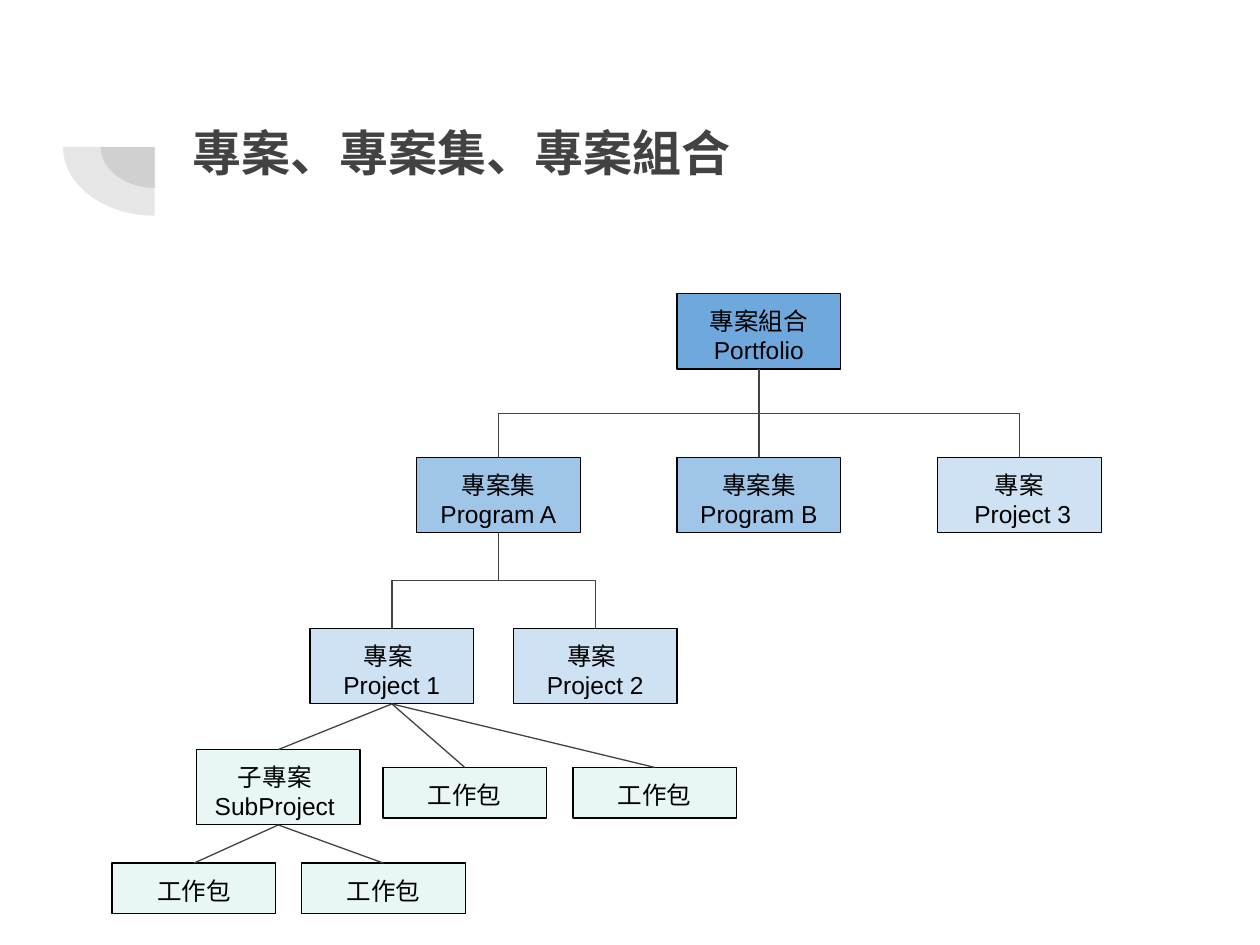
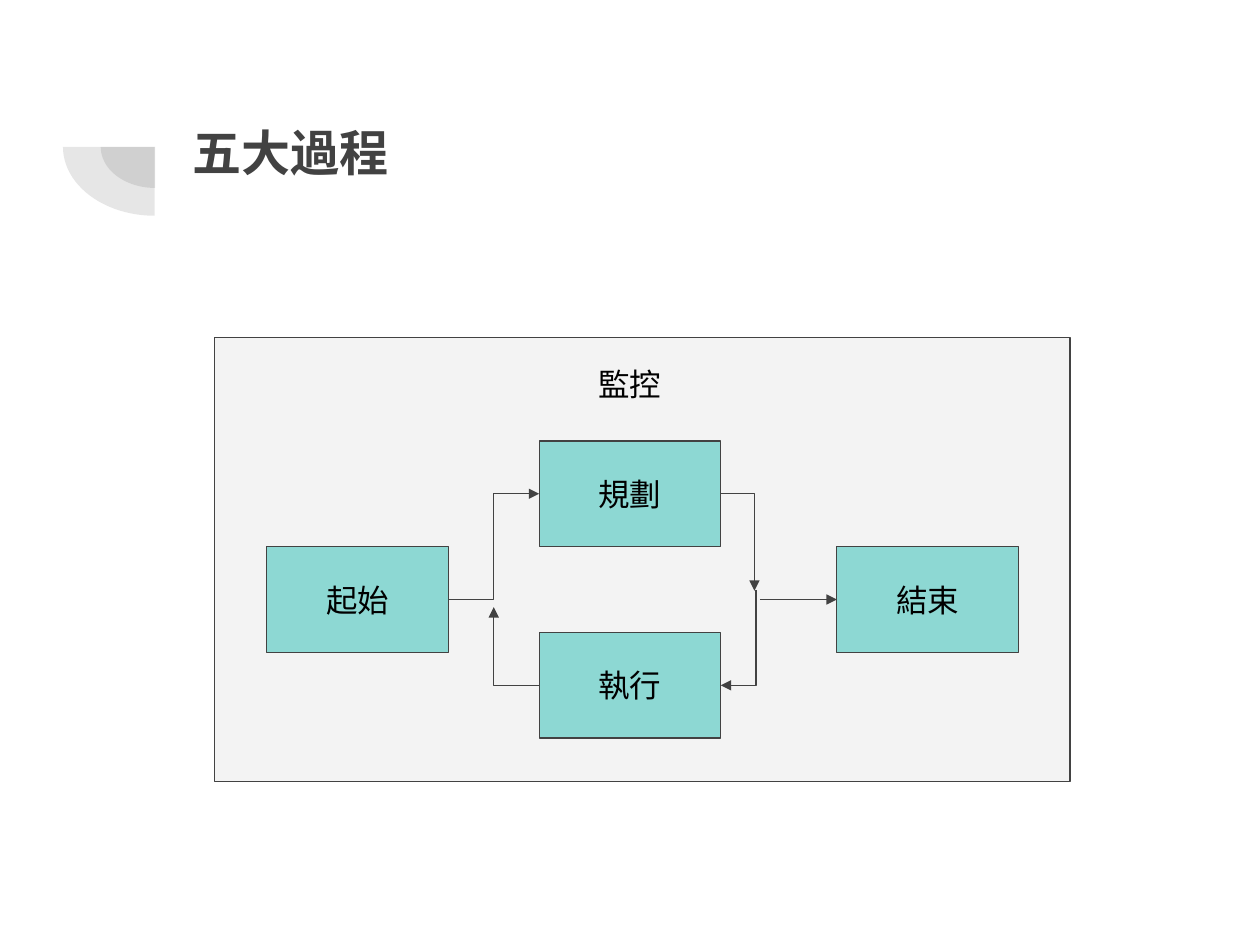
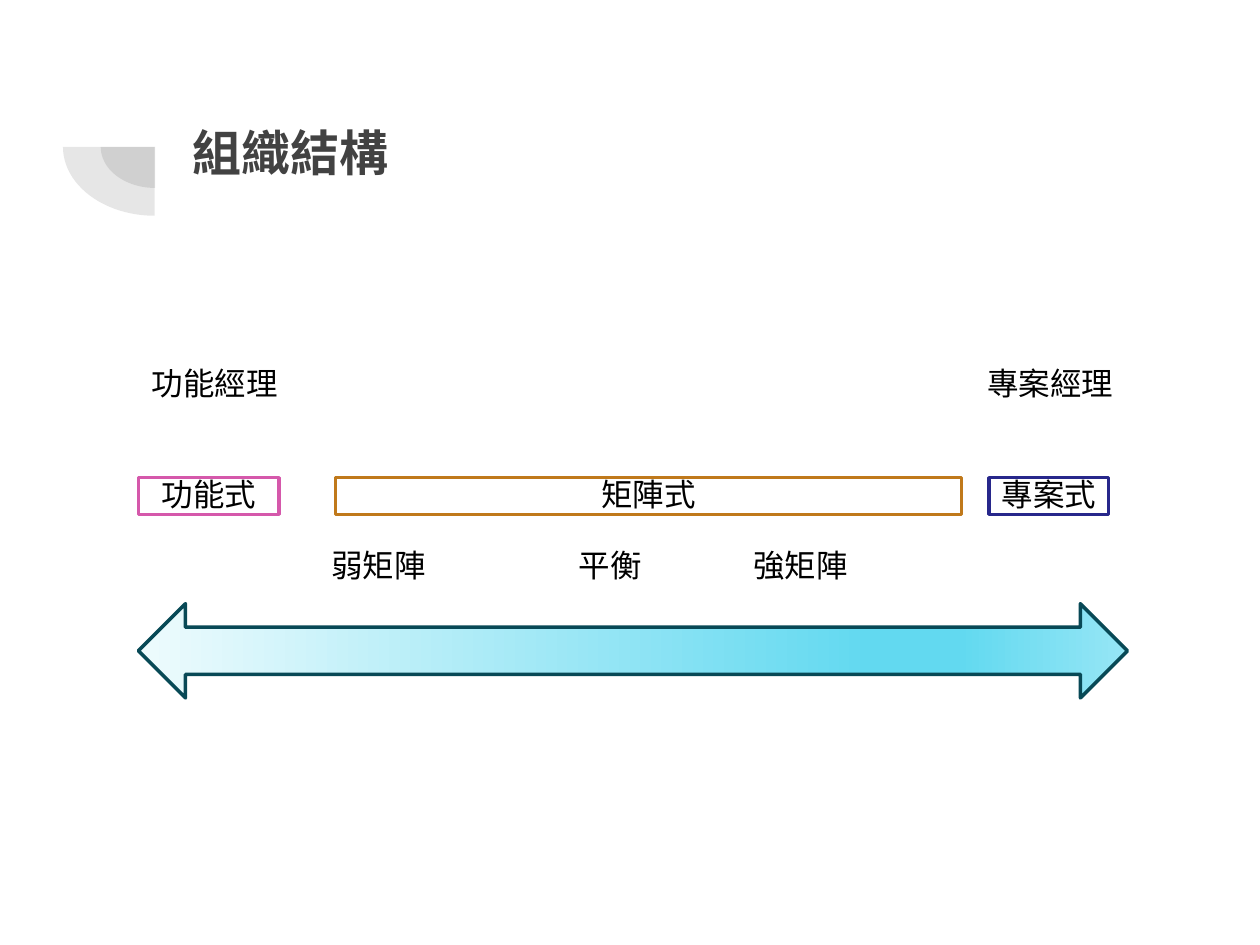
from dataclasses import dataclass

from lxml import etree
from pptx import Presentation
from pptx.dml.color import RGBColor
from pptx.enum.shapes import MSO_CONNECTOR, MSO_SHAPE
from pptx.enum.text import MSO_ANCHOR, MSO_AUTO_SIZE, PP_ALIGN
from pptx.oxml.ns import qn
from pptx.util import Cm, Pt

RECT, PIE, ARROW = MSO_SHAPE.RECTANGLE, MSO_SHAPE.PIE, MSO_SHAPE.LEFT_RIGHT_ARROW
STRAIGHT, ELBOW = MSO_CONNECTOR.STRAIGHT, MSO_CONNECTOR.ELBOW
TOP, MIDDLE = MSO_ANCHOR.TOP, MSO_ANCHOR.MIDDLE
LEFT, CENTER = PP_ALIGN.LEFT, PP_ALIGN.CENTER
FIXED, GROW = MSO_AUTO_SIZE.NONE, MSO_AUTO_SIZE.SHAPE_TO_FIT_TEXT


@dataclass(frozen=True)
class Theme:
    font: str = "Arial"
    ink: str = "424242"
    black: str = "000000"
    white: str = "FFFFFF"
    top: str = "6FA8DC"
    group: str = "9FC5E8"
    work: str = "CFE2F3"
    pack: str = "E8F7F6"
    panel: str = "F3F3F3"
    step: str = "8DD8D3"
    pink: str = "D558AB"
    amber: str = "C0791B"
    navy: str = "27278B"
    edge: str = "084956"
    fade: tuple = ((0, "EEFBFD"), (74, "62D9F0"), (83, "62D9F0"), (100, "96E6F5"))
    head: int = 28
    body: int = 18
    small: int = 14
    thin: float = 0.75
    thick: float = 2
    inset: float = 0.25


def apply(target, values):
    for name, value in values.items():
        setattr(target, name, value)


def color(code):
    return RGBColor.from_string(code)


class Deck:
    def __init__(self, theme):
        self.theme = theme
        self.show = Presentation()
        apply(self.show, {"slide_width": Cm(25.4), "slide_height": Cm(19.05)})
        self.layout = self.show.slide_layouts[5]
        self.slide = None

    def begin(self, title):
        """Add a slide and set its title."""
        self.slide = self.show.slides.add_slide(self.layout)
        head = self.slide.shapes.title
        apply(head, {"left": Cm(3.63), "top": Cm(2.21), "width": Cm(19.53), "height": Cm(3.71)})
        self.letter(head, title, self.theme.head, align=LEFT, bold=True, ink=self.theme.ink)

    def letter(self, shape, text, size, align=CENTER, anchor=TOP, inset=None,
               fit=FIXED, space=None, bold=False, ink=None):
        """Fill a shape with text, one paragraph a line."""
        gap = Cm(self.theme.inset if inset is None else inset)
        frame = shape.text_frame
        apply(frame, {"text": text, "word_wrap": True, "auto_size": fit, "vertical_anchor": anchor,
                      "margin_left": gap, "margin_right": gap,
                      "margin_top": gap, "margin_bottom": gap})
        for part in frame.paragraphs:
            apply(part, {"alignment": align, "line_spacing": space})
            for run in part.runs:
                apply(run.font, {"size": Pt(size), "bold": bold, "name": self.theme.font})
                run.font.color.rgb = color(ink or self.theme.black)
                etree.SubElement(run.font._element, qn("a:ea"), typeface=self.theme.font)

    def shape(self, kind, left, top, width, height, fill, edge=None, weight=None):
        item = self.slide.shapes.add_shape(kind, Cm(left), Cm(top), Cm(width), Cm(height))
        item.shadow.inherit = False
        item.fill.solid()
        item.fill.fore_color.rgb = color(fill)
        if edge:
            item.line.color.rgb = color(edge)
            item.line.width = Pt(weight or self.theme.thin)
        else:
            item.line.fill.background()
        return item

    def label(self, text, left, top, width, height, **style):
        item = self.slide.shapes.add_textbox(Cm(left), Cm(top), Cm(width), Cm(height))
        self.letter(item, text, self.theme.body, **style)

    def blend(self, item, stops):
        """Give a shape a left-to-right gradient."""
        item.fill.gradient()
        item.fill.gradient_angle = 0
        holder = item.element.spPr.find(".//" + qn("a:gsLst"))
        for old in list(holder):
            holder.remove(old)
        for place, code in stops:
            stop = etree.SubElement(holder, qn("a:gs"), pos=str(place * 1000))
            etree.SubElement(stop, qn("a:srgbClr"), val=code)

    def connect(self, start, end, kind=STRAIGHT, source=None, target=None,
                down=False, corner=False, arrow=False):
        """Join two points; source and target are (shape, side) pairs."""
        (x1, y1), (x2, y2) = start, end
        line = self.slide.shapes.add_connector(kind, Cm(x1), Cm(y1), Cm(x2), Cm(y2))
        line.line.color.rgb = color(self.theme.ink)
        line.line.width = Pt(self.theme.thin)
        if source:
            line.begin_connect(*source)
        if target:
            line.end_connect(*target)
        props = line.element.spPr
        if down:  # leave vertically: the frame is turned by a quarter
            wide, high = y2 - y1, abs(x2 - x1)
            apply(line, {"left": Cm((x1 + x2 - wide) / 2), "top": Cm((y1 + y2 - high) / 2),
                         "width": Cm(wide), "height": Cm(high)})
            right = x2 > x1
            frame = props.find(qn("a:xfrm"))
            frame.set("rot", "16200000" if right else "5400000")
            frame.set("flipH", "1" if right else "0")
        if corner:
            props.find(qn("a:prstGeom")).set("prst", "bentConnector2")
        if arrow:
            etree.SubElement(props.find(qn("a:ln")), qn("a:tailEnd"), type="triangle")
        etree.SubElement(props, qn("a:effectLst"))

    def badge(self):
        """Move two clear quarter discs to the shared layout."""
        for box in ((2.03, 2.13, 2.2, 1.66), (1.27, 1.57, 3.7, 2.78)):
            disc = self.shape(PIE, *box, self.theme.ink)
            disc.adjustments[0], disc.adjustments[1] = 54, 108
            tone = disc.element.spPr.find(".//" + qn("a:srgbClr"))
            etree.SubElement(tone, qn("a:alpha"), val="13000")
            self.layout.shapes.element.append(disc.element)


def draw_tree(deck):
    theme = deck.theme
    deck.begin("專案、專案集、專案組合")
    deck.badge()
    wide, tall, low = 3.3, 1.52, 1.02
    mid, step = 15.3, 5.25
    # key: text, centre, top, height, fill, parent
    nodes = {
        "root": ("專案組合\nPortfolio", mid, 5.92, tall, theme.top, None),
        "prog a": ("專案集\nProgram A", mid - step, 9.22, tall, theme.group, "root"),
        "prog b": ("專案集\nProgram B", mid, 9.22, tall, theme.group, "root"),
        "proj 3": ("專案\n Project 3", mid + step, 9.22, tall, theme.work, "root"),
        "proj 1": ("專案 \nProject 1", 7.9, 12.67, tall, theme.work, "prog a"),
        "proj 2": ("專案 \nProject 2", 12, 12.67, tall, theme.work, "prog a"),
        "sub": ("子專案 \nSubProject ", 5.61, 15.11, tall, theme.pack, "proj 1"),
        "pack 1": ("工作包", 9.37, 15.47, low, theme.pack, "proj 1"),
        "pack 2": ("工作包", 13.2, 15.47, low, theme.pack, "proj 1"),
        "pack 3": ("工作包", 3.91, 17.4, low, theme.pack, "sub"),
        "pack 4": ("工作包", 7.73, 17.4, low, theme.pack, "sub"),
    }
    boxes = {}
    for key, (text, x, y, high, fill, parent) in nodes.items():
        box = deck.shape(RECT, x - wide / 2, y, wide, high, fill, theme.black)
        deck.letter(box, text, theme.small)
        boxes[key] = box
        if parent:
            _, px, py, drop, _, _ = nodes[parent]
            bent = parent in ("root", "prog a") and px != x
            deck.connect((px, py + drop), (x, y), ELBOW if bent else STRAIGHT,
                         (boxes[parent], 2), (box, 0), down=bent)


def draw_flow(deck):
    theme = deck.theme
    deck.begin("五大過程")
    deck.shape(RECT, 4.32, 6.81, 17.25, 8.94, theme.panel, theme.ink)
    deck.label("監控", 11.76, 7.11, 1.88, 1.07)

    # Steps
    wide, high = 3.66, 2.13
    first, mid, last = 5.38, 10.87, 16.87
    upper, centre, lower = 8.89, 11.02, 12.75
    steps = (("起始", first, centre), ("規劃", mid, upper),
             ("執行", mid, lower), ("結束", last, centre))
    boxes = {}
    for text, x, y in steps:
        boxes[text] = deck.shape(RECT, x, y, wide, high, theme.step, theme.ink)
        deck.letter(boxes[text], text, theme.body, anchor=MIDDLE)

    # Arrows
    half = high / 2
    plan, axis, work = upper + half, centre + half, lower + half
    fork, right = (first + wide + mid) / 2, mid + wide
    deck.connect((first + wide, axis), (mid, plan), ELBOW, arrow=True)
    deck.connect((right, plan), (15.21, 11.91), ELBOW, corner=True, arrow=True)
    deck.connect((mid, work), (fork, 12.24), ELBOW, corner=True, arrow=True)
    deck.connect((15.24, 11.89), (right, work), ELBOW, down=True, corner=True, arrow=True)
    deck.connect((15.32, axis), (last, axis), target=(boxes["結束"], 1), arrow=True)


def draw_scale(deck):
    theme = deck.theme
    deck.begin("組織結構")
    high = 0.74
    style = {"inset": 0, "fit": GROW, "space": 0.95}

    # Framed forms
    for text, x, wide, edge in (("功能式", 2.79, 2.84, theme.pink),
                                ("矩陣式", 6.76, 12.62, theme.amber),
                                ("專案式", 19.94, 2.41, theme.navy)):
        box = deck.shape(RECT, x, 9.63, wide, high, theme.white, edge, theme.thick)
        deck.letter(box, text, theme.body, **style)

    # Plain labels
    for text, x, y, wide, align in (("弱矩陣", 6.68, 11.07, 2.77, LEFT),
                                    ("平衡", 10.77, 11.07, 3.07, CENTER),
                                    ("強矩陣", 15.19, 11.07, 3.05, LEFT),
                                    ("專案經理", 19.18, 7.39, 3.99, CENTER),
                                    ("功能經理", 2.34, 7.39, 3.99, CENTER)):
        deck.label(text, x, y, wide, high, align=align, **style)

    # Range arrow
    span = deck.shape(ARROW, 2.79, 12.17, 19.94, 1.9, theme.white, theme.edge, theme.thick)
    deck.blend(span, theme.fade)


def main():
    deck = Deck(Theme())
    for draw in (draw_tree, draw_flow, draw_scale):
        draw(deck)
    deck.show.save("out.pptx")


if __name__ == "__main__":
    main()
